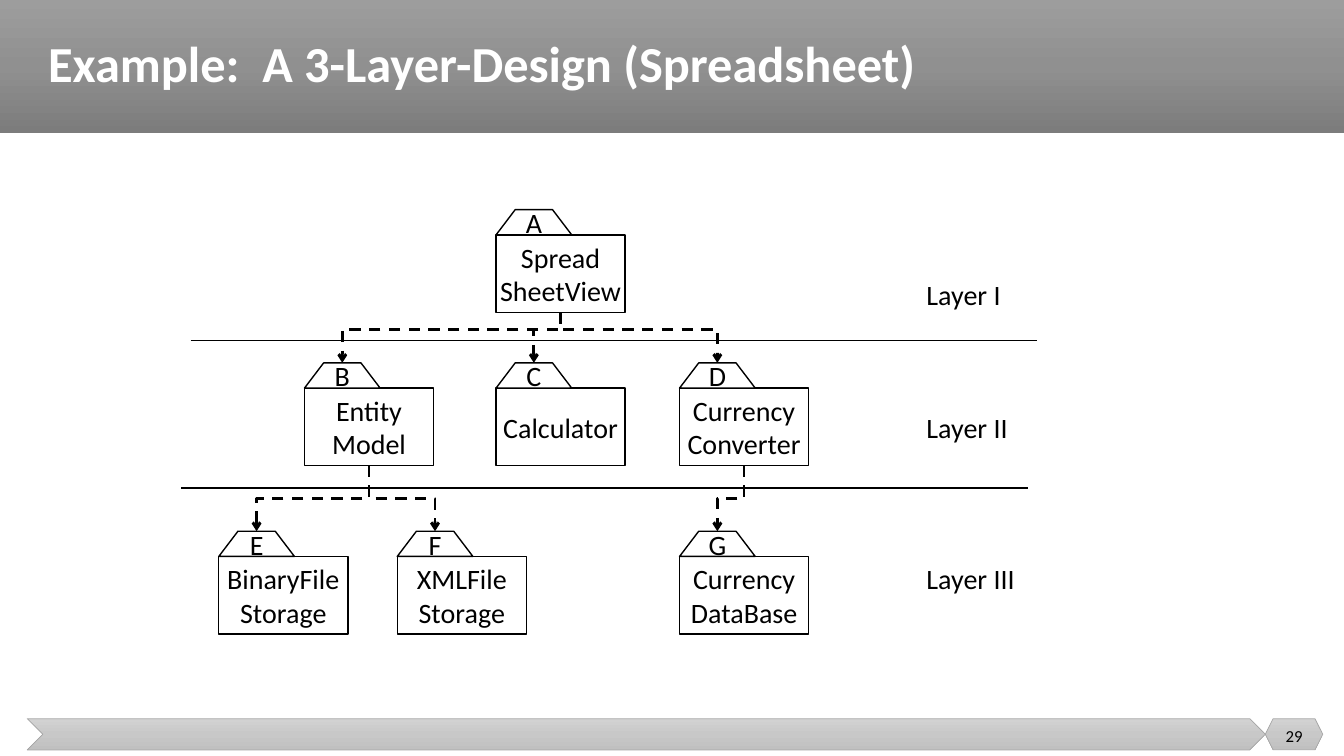
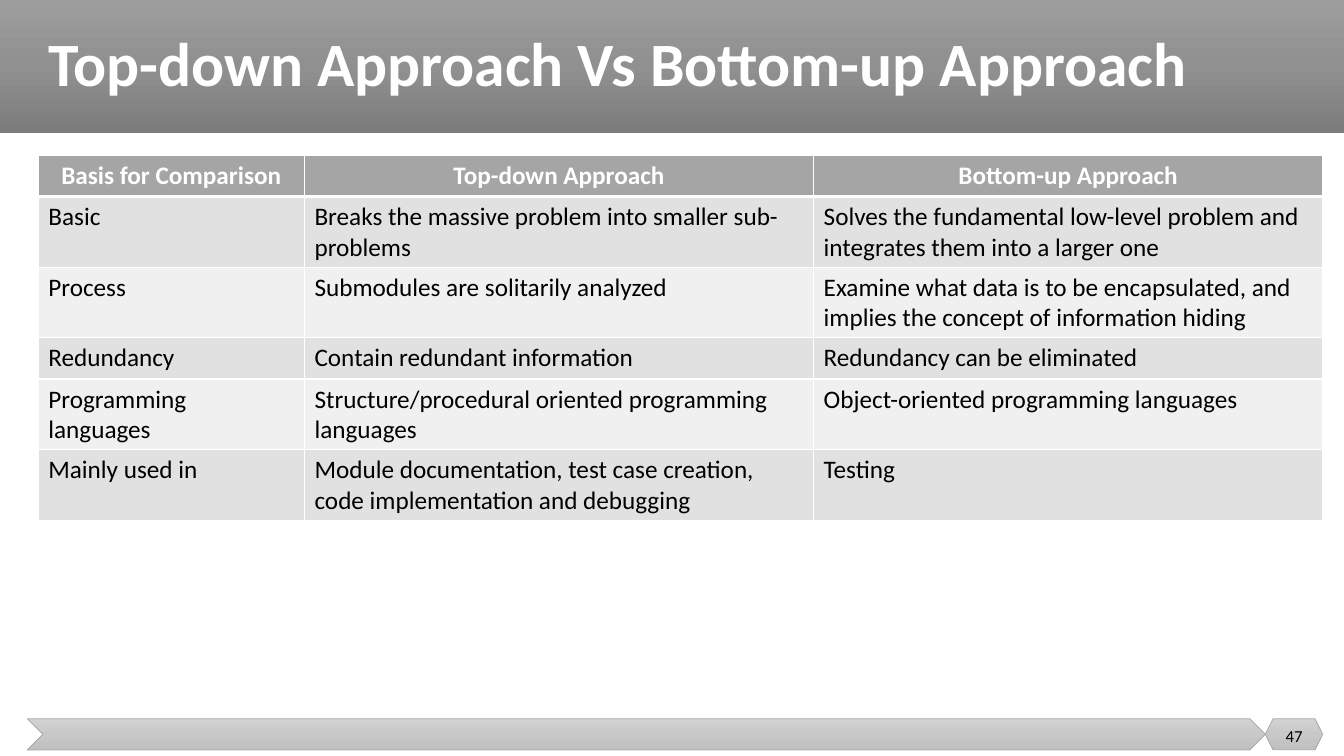
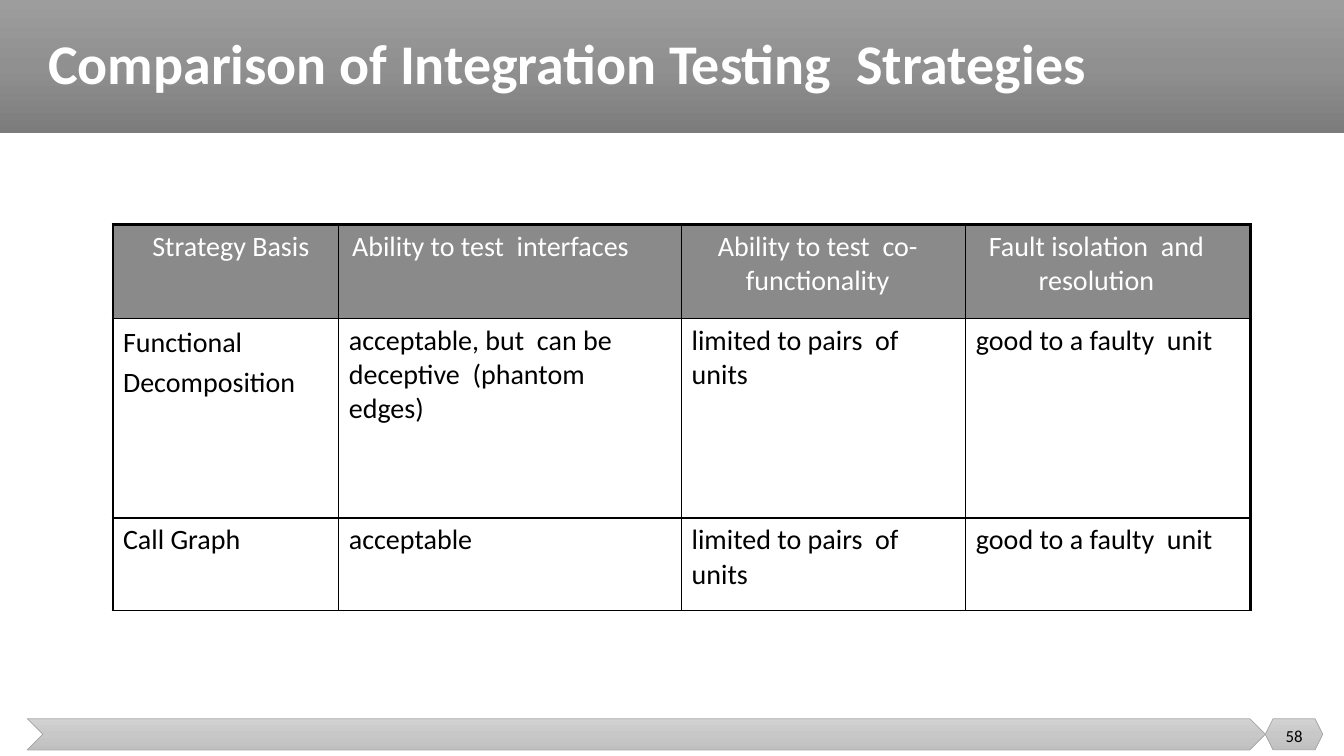
from copy import deepcopy

from lxml import etree
from pptx import Presentation
from pptx import util as u
from pptx.dml.color import RGBColor
from pptx.enum import dml, shapes, text
from pptx.oxml.ns import qn

FONT = "Calibri"
BLACK = RGBColor(0x00, 0x00, 0x00)
WHITE = RGBColor(0xFF, 0xFF, 0xFF)
EDGE = RGBColor(0xA5, 0xA5, 0xA5)
HEAD_DARK = RGBColor(0x8A, 0x8A, 0x8A)
ROW_DARK = RGBColor(0xE1, 0xE1, 0xE1)
ROW_LIGHT = RGBColor(0xF0, 0xF0, 0xF0)
BAND = [RGBColor(0x9D, 0x9D, 0x9D), RGBColor(0x90, 0x90, 0x90), RGBColor(0x7C, 0x7C, 0x7C)]
FOOTER = [RGBColor(0xD2, 0xD2, 0xD2), RGBColor(0xC8, 0xC8, 0xC8), RGBColor(0xC0, 0xC0, 0xC0)]

W, H = 13.33, 7.5
LEFT, CONTENT_W = 0.38, 12.74
BAND_H = 1.32
NUMBER_X, NUMBER_W = 12.55, 0.57

# Module folder: a tab on top of a body
TAB_W, TAB_H, TAB_SLANT = 0.75, 0.25, 0.19
BODY_W, BODY_H = 1.28, 0.77
ROW_TOPS = [0, 1.52, 3.19]
MODULES = {  # letter: (left, layer, name)
    "A": (3.12, 0, "Spread\vSheetView"),
    "B": (1.22, 1, "Entity\nModel"),
    "C": (3.12, 1, "Calculator"),
    "D": (4.94, 1, "Currency\nConverter"),
    "E": (0.37, 2, "BinaryFile\vStorage"),
    "F": (2.14, 2, "XMLFile\vStorage"),
    "G": (4.94, 2, "Currency\vDataBase"),
}
USES = ["AB", "AC", "AD", "DG", "BF", "BE"]
BENDS = [0.34, 0.5]
DIVIDERS = [(0.09, 1.3), (0, 2.76)]
DIVIDER_W = 8.4
LABELS = [("Layer I", 0.62), ("Layer II", 1.94), ("Layer III", 3.44)]
LABEL_X = 7.29

APPROACHES = [
    ["Basis for Comparison", "Top-down Approach", "Bottom-up Approach"],
    ["Basic", "Breaks the massive problem into smaller sub-problems",
     "Solves the fundamental low-level problem and integrates them into a larger one"],
    ["Process", "Submodules are solitarily analyzed",
     "Examine what data is to be encapsulated, and implies the concept of information hiding"],
    ["Redundancy", "Contain redundant information", "Redundancy can be eliminated"],
    ["Programming languages", "Structure/procedural oriented programming languages",
     "Object-oriented programming languages"],
    ["Mainly used in",
     "Module documentation, test case creation, code implementation and debugging", "Testing"],
]
STRATEGIES = [
    ["Strategy Basis", "Ability to test  interfaces", "Ability to test  co-functionality",
     "Fault isolation  and resolution"],
    ["Functional Decomposition", "acceptable, but  can be deceptive  (phantom edges)",
     "limited to pairs  of units", "good to a faulty  unit"],
    ["Call Graph", "acceptable", "limited to pairs  of units", "good to a faulty  unit"],
]


def inches(*values):
    return [u.Inches(v) for v in values]


def write(tf, words, size, color=BLACK, bold=False, align=text.PP_ALIGN.LEFT):
    tf.text = words
    for p in tf.paragraphs:
        p.alignment = align
        p.font.name, p.font.size, p.font.bold = FONT, u.Pt(size), bold
        p.font.color.rgb = color


def add_text(s, box, words, size, wrap=True, **style):
    sp = s.shapes.add_textbox(*inches(*box))
    tf = sp.text_frame
    tf.word_wrap = wrap
    write(tf, words, size, **style)
    return tf


def add_graded(s, kind, box, colors):
    sp = s.shapes.add_shape(kind, *inches(*box))
    sp.shadow.inherit = False
    sp.fill.gradient()
    stops = sp._element.spPr.find(".//" + qn("a:gsLst"))
    stops.insert(1, deepcopy(stops[0]))
    for stop, color, position in zip(sp.fill.gradient_stops, colors, (0, 0.5, 1)):
        stop.color.rgb, stop.position = color, position
    sp.fill.gradient_angle = 270
    return sp


def add_frame(prs, title, size, number):
    """Add a slide with its title band, footer and slide number."""
    s = prs.slides.add_slide(prs.slide_layouts[6])
    kinds = shapes.MSO_SHAPE
    add_graded(s, kinds.RECTANGLE, (0, 0, W, BAND_H), BAND).line.fill.background()
    for kind, x, w in ((kinds.CHEVRON, 0.27, 12.28), (kinds.HEXAGON, NUMBER_X, NUMBER_W)):
        sp = add_graded(s, kind, (x, 7.13, w, 0.31), FOOTER)
        sp.line.color.rgb, sp.line.width = EDGE, u.Pt(0.5)
    tf = add_text(s, (LEFT, 0, CONTENT_W, BAND_H), title, size, color=WHITE, bold=True)
    tf.paragraphs[0].line_spacing = 0.9
    tf.vertical_anchor = text.MSO_ANCHOR.MIDDLE
    tf = add_text(s, (NUMBER_X, 7.1, NUMBER_W, 0.4), number, 12, align=text.PP_ALIGN.CENTER)
    tf.vertical_anchor = text.MSO_ANCHOR.MIDDLE
    return s


def add_line(s, kind, start, end, width):
    ln = s.shapes.add_connector(kind, *inches(*start, *end))
    ln.line.color.rgb, ln.line.width = BLACK, u.Pt(width)
    etree.SubElement(ln._element.spPr, qn("a:effectLst"))
    return ln


def add_use_arrow(s, start, end, bend):
    """Dashed elbow that leaves downwards: a level elbow turned by a quarter."""
    (x1, y1), (x2, y2) = start, end
    cx, cy = (x1 + x2) / 2, (y1 + y2) / 2
    half_w, half_h = (y2 - y1) / 2, abs(x2 - x1) / 2
    to_left = x2 < x1
    if not to_left:
        half_w = -half_w
    ln = add_line(s, shapes.MSO_CONNECTOR.ELBOW, (cx - half_w, cy - half_h),
                  (cx + half_w, cy + half_h), 2)
    ln.line.dash_style = dml.MSO_LINE.DASH
    sp_pr = ln._element.spPr
    sp_pr.find(qn("a:xfrm")).set("rot", str((90 if to_left else 270) * 60000))
    etree.SubElement(sp_pr.find(".//" + qn("a:avLst")), qn("a:gd"),
                     name="adj1", fmla=f"val {round(bend * 100000)}")
    etree.SubElement(sp_pr.find(qn("a:ln")), qn("a:tailEnd"), type="arrow")


def add_module(s, x, y, letter, name):
    corners = [(x + TAB_SLANT, y), (x + TAB_W - TAB_SLANT, y), (x + TAB_W, y + TAB_H)]
    outline = s.shapes.build_freeform(*inches(x, y + TAB_H))
    outline.add_line_segments([inches(*c) for c in corners], close=True)
    body = s.shapes.add_shape(shapes.MSO_SHAPE.RECTANGLE, *inches(x, y + TAB_H, BODY_W, BODY_H))
    for sp, words in ((outline.convert_to_shape(), letter), (body, name)):
        sp.shadow.inherit = False
        sp.fill.solid()
        sp.fill.fore_color.rgb = WHITE
        sp.line.color.rgb, sp.line.width = BLACK, u.Pt(1)
        tf = sp.text_frame
        tf.word_wrap = False
        tf.vertical_anchor = text.MSO_ANCHOR.MIDDLE
        write(tf, words, 20, align=text.PP_ALIGN.CENTER)


def add_layer_diagram(s, left, top):
    for x, y in DIVIDERS:
        add_line(s, shapes.MSO_CONNECTOR.STRAIGHT, (left + x, top + y),
                 (left + x + DIVIDER_W, top + y), 1)
    for words, y in LABELS:
        add_text(s, (left + LABEL_X, top + y, 1.08, 0.43), words, 20, wrap=False)
    corner = {k: (left + x, top + ROW_TOPS[layer]) for k, (x, layer, _) in MODULES.items()}
    for user, used in USES:
        (x1, y1), (x2, y2) = corner[user], corner[used]
        add_use_arrow(s, (x1 + BODY_W / 2, y1 + TAB_H + BODY_H), (x2 + TAB_W / 2, y2),
                      BENDS[MODULES[user][1]])
    for letter, (_, _, name) in MODULES.items():
        add_module(s, *corner[letter], letter, name)


def set_borders(cell, color, widths):
    """Draw the left, right, top and bottom borders, widths in points."""
    tc_pr = cell._tc.get_or_add_tcPr()
    for i, (side, width) in enumerate(zip("LRTB", widths)):
        ln = etree.Element(qn(f"a:ln{side}"), w=str(u.Pt(width)))
        fill = etree.SubElement(ln, qn("a:solidFill"))
        etree.SubElement(fill, qn("a:srgbClr"), val=str(color))
        tc_pr.insert(i, ln)


def add_grid(s, left, top, cols, rows, words, size, fills, line, v_rules, h_rules, bold_head):
    """Add a table; v_rules and h_rules are the widths of its rules in order."""
    frame = s.shapes.add_table(len(rows), len(cols),
                               *inches(left, top, sum(cols), sum(rows)))
    table = frame.table
    for col, w in zip(table.columns, cols):
        col.width = u.Inches(w)
    for r, h in enumerate(rows):
        table.rows[r].height = u.Inches(h)
        for c, content in enumerate(words[r]):
            cell = table.cell(r, c)
            if r == 0:
                write(cell.text_frame, content, size, WHITE, bold_head, text.PP_ALIGN.CENTER)
            else:
                write(cell.text_frame, content, size)
            if fills[r] is None:
                cell.fill.background()
            else:
                cell.fill.solid()
                cell.fill.fore_color.rgb = fills[r]
            set_borders(cell, line, v_rules[c:c + 2] + h_rules[r:r + 2])
    return table


def add_approach_table(s, left, top):
    fills = [EDGE] + [ROW_DARK, ROW_LIGHT] * 2 + [ROW_DARK]
    add_grid(s, left, top, [2.64, 5.05, 5.05], [0.41] * 6, APPROACHES, 18, fills, WHITE,
             [1] * 4, [1, 3] + [1] * 5, True)


def add_strategy_table(s, left, top):
    table = add_grid(s, left, top, [2.24, 3.4, 2.82, 2.82], [0.93, 1.98, 0.92], STRATEGIES, 20,
                     [HEAD_DARK, None, None], BLACK, [2.25, 1, 1, 1, 2.25], [2.25, 1, 1, 1],
                     False)
    right_margins = [[0, 0.49, 0.22, 0.33]] + [[0, 0.4, 0.4, 0]] * 2
    for r, margins in enumerate(right_margins):
        for c, margin in enumerate(margins):
            table.cell(r, c).margin_right = u.Inches(margin)
    decomposition = table.cell(1, 0)
    decomposition.margin_top = u.Inches(0.01)
    decomposition.text_frame.paragraphs[0].line_spacing = u.Pt(28.8)


def main():
    prs = Presentation()
    prs.slide_width, prs.slide_height = inches(W, H)
    s = add_frame(prs, "Example:  A 3-Layer-Design (Spreadsheet)", 36, "29")
    add_layer_diagram(s, 1.8, 2.08)
    s = add_frame(prs, "Top-down Approach Vs Bottom-up Approach", 44, "47")
    add_approach_table(s, LEFT, 1.54)
    s = add_frame(prs, "Comparison of Integration Testing  Strategies", 40, "58")
    add_strategy_table(s, 1.12, 2.23)
    prs.save("out.pptx")


if __name__ == "__main__":
    main()
